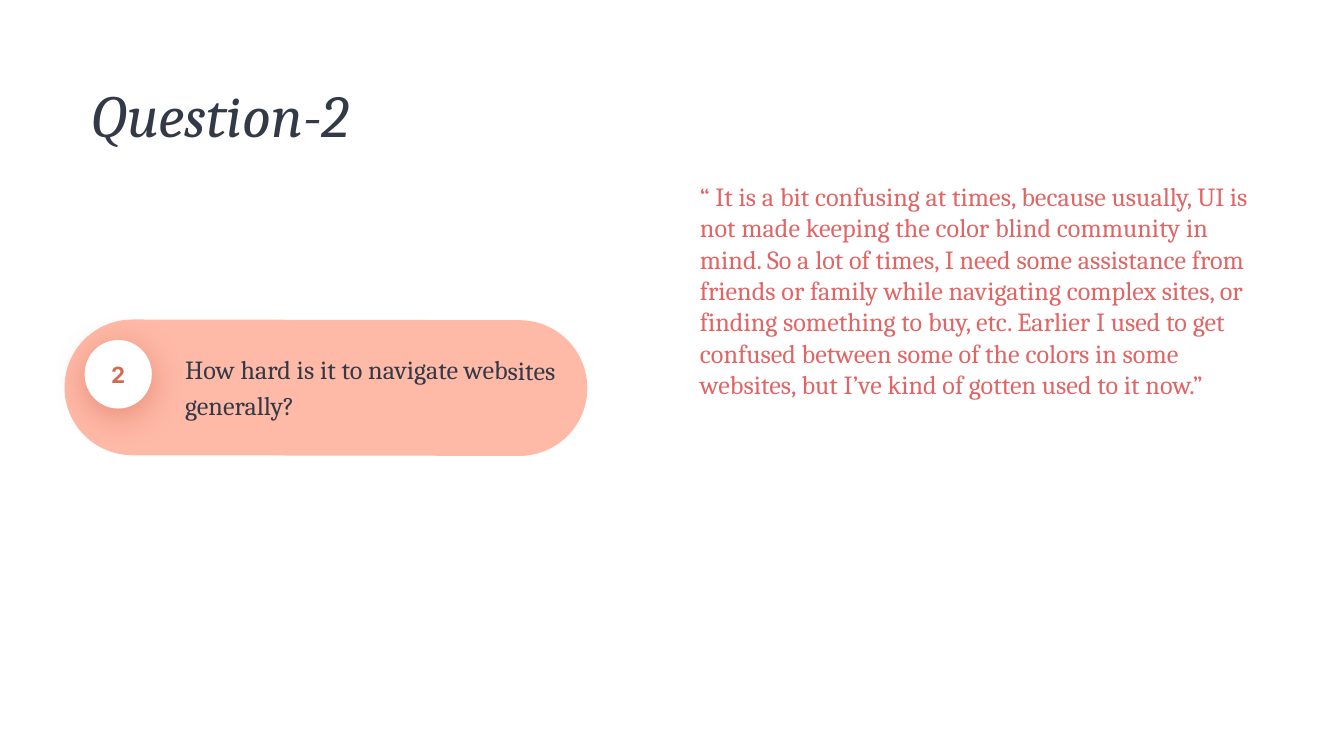
import pptx
import pptx.util
import pptx.dml.color
import pptx.enum.shapes
import pptx.enum.text
import pptx.oxml
import pptx.oxml.ns

Inches = pptx.util.Inches
Pt = pptx.util.Pt
Shape = pptx.enum.shapes.MSO_SHAPE
Anchor = pptx.enum.text.MSO_ANCHOR
Align = pptx.enum.text.PP_ALIGN


class Theme:
    ink = "333A47"
    peach = "FFB9A7"
    rust = "D26A50"
    rose = "E06666"
    white = "FFFFFF"
    serif = "Cambria"
    sans = "Inter"
    title = 32
    body = 14
    label = 12


def color(code):
    return pptx.dml.color.RGBColor.from_string(code)


def assign(item, values):
    for name, value in values.items():
        setattr(item, name, value)


def write(shape, words, size, tint, face=Theme.serif, inset=0.1,
          anchor=Anchor.MIDDLE, align=Align.LEFT, space=1.0, **style):
    frame = shape.text_frame
    sides = ("left", "top", "right", "bottom")
    assign(frame, {f"margin_{side}": Inches(inset) for side in sides})
    assign(frame, {"word_wrap": True, "vertical_anchor": anchor})
    line = frame.paragraphs[0]
    assign(line, {"alignment": align, "line_spacing": space})
    run = line.add_run()
    run.text = words
    assign(run.font, {"size": Pt(size), "name": face, **style})
    run.font.color.rgb = color(tint)


def add_text(slide, box, words, size, tint, **style):
    shape = slide.shapes.add_textbox(*map(Inches, box))
    write(shape, words, size, tint, **style)
    return shape


def add_solid(slide, kind, box, fill):
    shape = slide.shapes.add_shape(kind, *map(Inches, box))
    shape.shadow.inherit = False
    shape.fill.solid()
    shape.fill.fore_color.rgb = color(fill)
    shape.line.fill.background()
    return shape


def add_glow(shape, tint):
    space = pptx.oxml.ns.nsdecls("a")
    glow = pptx.oxml.parse_xml(
        f'<a:outerShdw {space} blurRad="{Pt(18)}" dist="{Pt(4)}" '
        f'dir="5400000" algn="ctr" rotWithShape="0"><a:srgbClr val="{tint}">'
        '<a:alpha val="55000"/></a:srgbClr></a:outerShdw>')
    shape.element.spPr.find(pptx.oxml.ns.qn("a:effectLst")).append(glow)


def add_title(slide, box, words):
    add_text(slide, box, words, Theme.title, Theme.ink,
             inset=0, space=0.9, italic=True)


def add_card(slide, box, number, words):
    left, top, width, height = box
    pill = add_solid(slide, Shape.ROUNDED_RECTANGLE, box, Theme.peach)
    pill.adjustments[0] = 0.5
    badge = add_solid(slide, Shape.OVAL,
                      (left + 0.15, top + 0.15, 0.5, 0.51), Theme.white)
    add_glow(badge, Theme.rust)
    write(badge, number, Theme.label, Theme.rust, face=Theme.sans,
          align=Align.CENTER, bold=True)
    text = add_text(slide, (left + 0.8, top + 0.18, width - 0.91, height - 0.4),
                    words, Theme.body, Theme.ink, space=1.15)
    for shape in (pill, text):
        shape.rotation = 0.1


def add_quote(slide, box, words):
    add_text(slide, box, words, Theme.body, Theme.rose, anchor=Anchor.TOP)


def main():
    deck = pptx.Presentation()
    wide = Inches(10)
    assign(deck, {"slide_width": wide, "slide_height": wide * 9 // 16})
    slide = deck.slides.add_slide(deck.slide_layouts[6])
    add_title(slide, (0.67, 0.64, 4.49, 0.48), "Question-2")
    add_card(slide, (0.48, 2.38, 3.89, 1.01), "2",
             "How hard is it to navigate websites generally?")
    add_quote(slide, (5.11, 1.24, 4.43, 2.09),
              "“ It is a bit confusing at times, because usually, UI is not "
              "made keeping the color blind community in mind. So a lot of "
              "times, I need some assistance from friends or family while "
              "navigating complex sites, or finding something to buy, etc. "
              "Earlier I used to get confused between some of the colors in "
              "some websites, but I’ve kind of gotten used to it now.”")
    deck.save("out.pptx")


if __name__ == "__main__":
    main()
